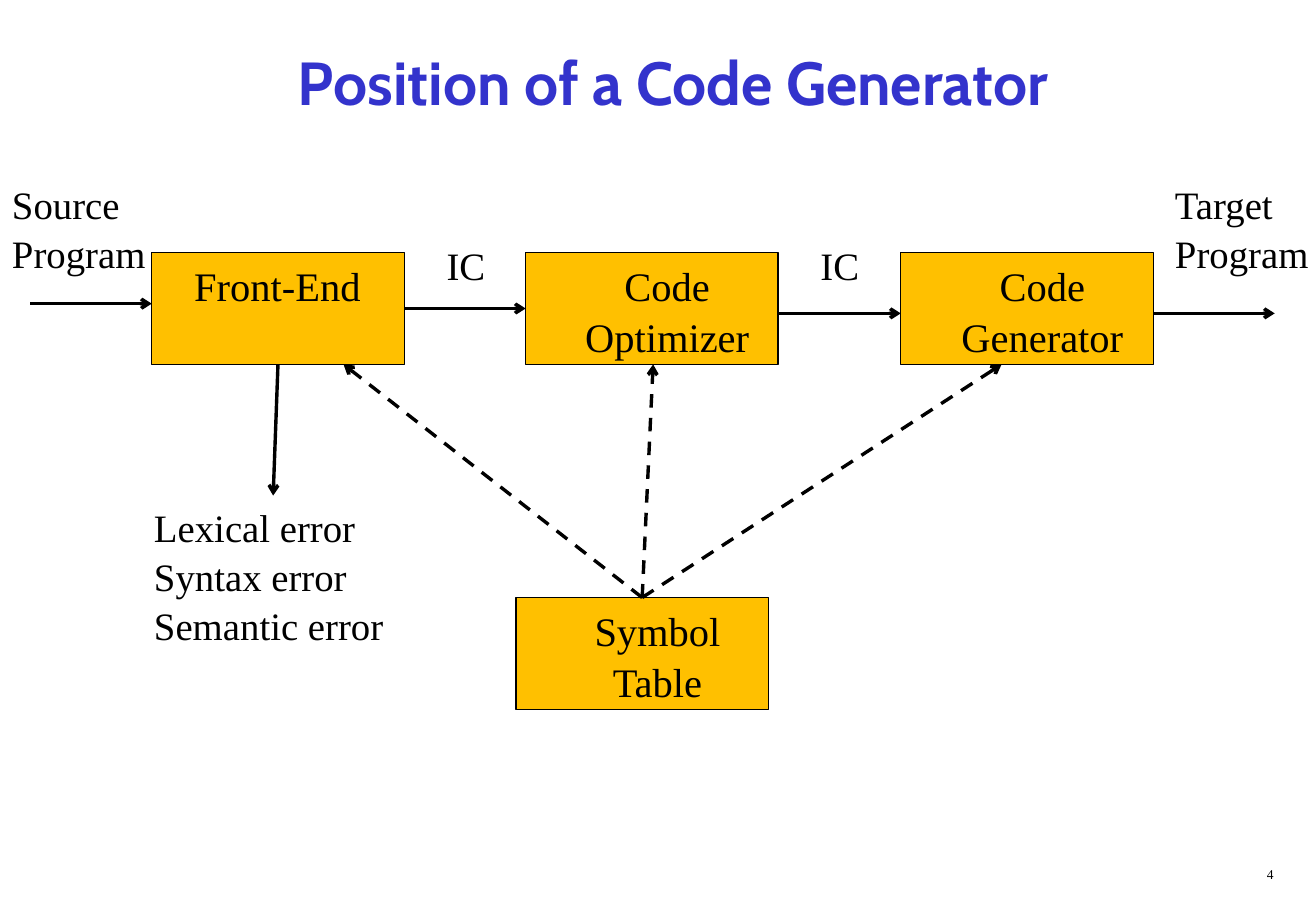
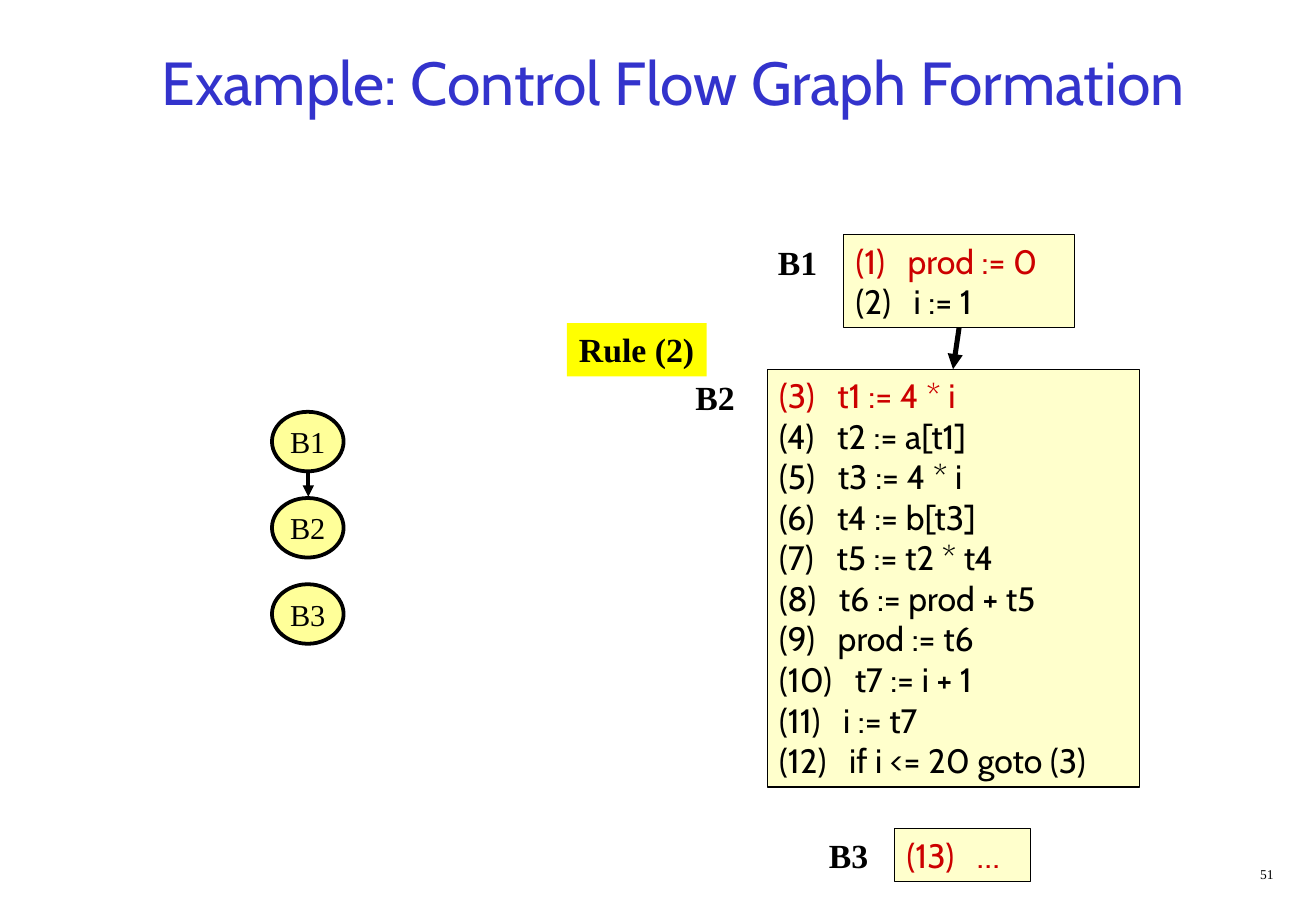
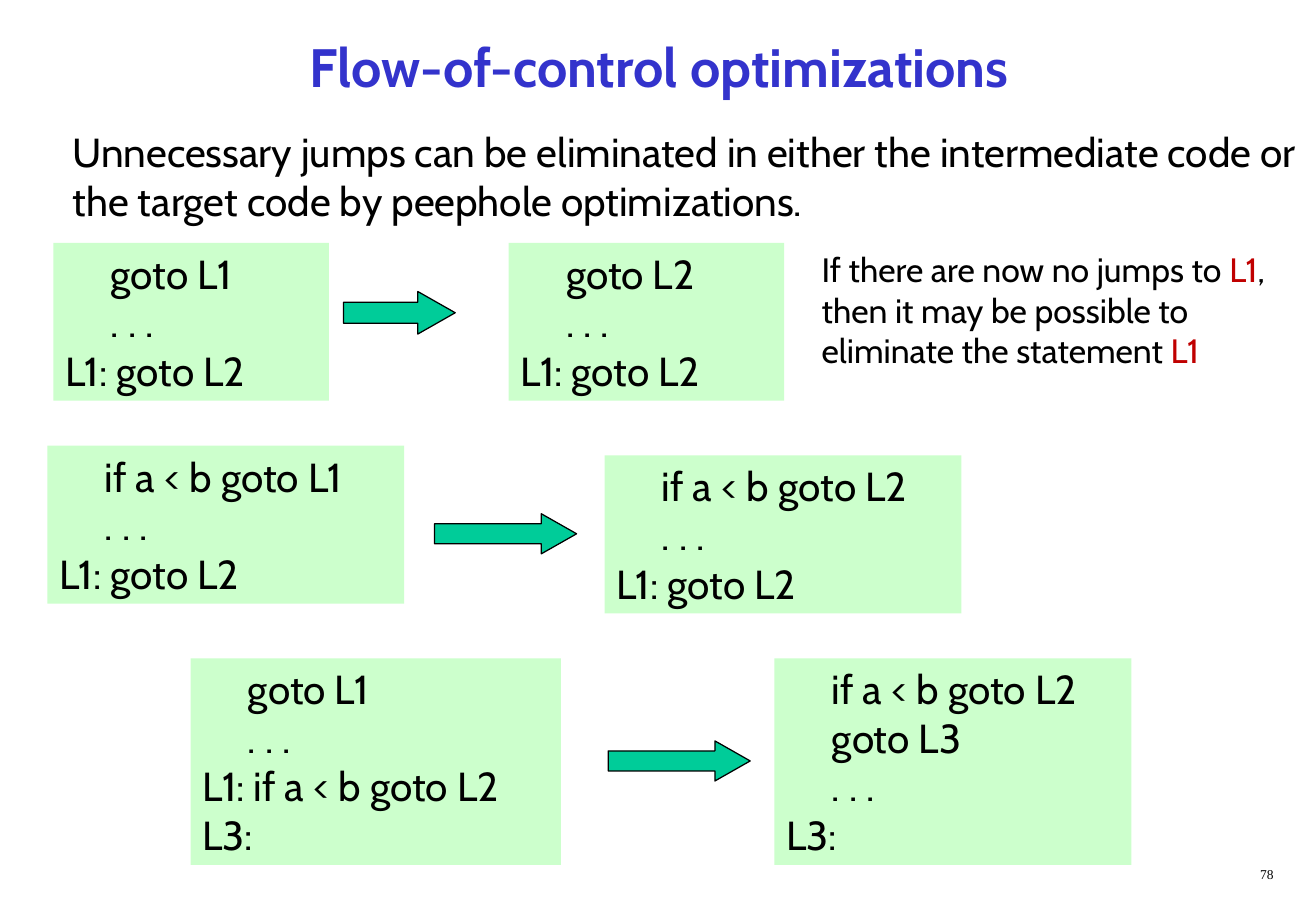
from dataclasses import dataclass, field
from typing import Any, NamedTuple

from lxml import etree
from pptx import Presentation
from pptx.dml.color import RGBColor
from pptx.enum.dml import MSO_LINE
from pptx.enum.shapes import MSO_CONNECTOR, MSO_SHAPE
from pptx.enum.text import MSO_ANCHOR, MSO_AUTO_SIZE, PP_ALIGN
from pptx.oxml.ns import qn
from pptx.util import Inches, Pt

LEFT, CENTER, RIGHT = PP_ALIGN.LEFT, PP_ALIGN.CENTER, PP_ALIGN.RIGHT
TOP, MIDDLE = MSO_ANCHOR.TOP, MSO_ANCHOR.MIDDLE
RECTANGLE, OVAL = MSO_SHAPE.RECTANGLE, MSO_SHAPE.OVAL
RIGHT_ARROW = MSO_SHAPE.RIGHT_ARROW
STRAIGHT, DASH = MSO_CONNECTOR.STRAIGHT, MSO_LINE.DASH
NO_AUTOFIT = MSO_AUTO_SIZE.NONE

BLACK = RGBColor(0x00, 0x00, 0x00)
TITLE_BLUE = RGBColor(0x33, 0x33, 0xCC)
STAGE_ORANGE = RGBColor(0xFF, 0xC0, 0x00)
BLOCK_CREAM = RGBColor(0xFF, 0xFF, 0xCC)
NODE_YELLOW = RGBColor(0xFF, 0xFF, 0x99)
RULE_YELLOW = RGBColor(0xFF, 0xFF, 0x00)
CODE_GREEN = RGBColor(0xCC, 0xFF, 0xCC)
ARROW_GREEN = RGBColor(0x00, 0xCC, 0x99)
LEADER_RED = RGBColor(0xCC, 0x00, 0x00)
LABEL_RED = RGBColor(0xC0, 0x00, 0x00)

SANS = "Cabin"
SERIF = "Times New Roman"
SERIF_SPACING = 1.05

STAGE_FONT = {"name": SERIF, "size": Pt(24)}
CAPTION_FONT = {"name": SERIF, "size": Pt(23)}
NODE_FONT = {"name": SERIF, "size": Pt(18)}
LABEL_FONT = {"name": SERIF, "size": Pt(20), "bold": True}
PAGE_FONT = {"name": SERIF, "size": Pt(8)}
BLOCK_FONT = {"name": SANS, "size": Pt(20)}
CODE_FONT = {"name": SANS, "size": Pt(24)}

MARGINS = {
    "margin_left": Inches(0.1),
    "margin_right": Inches(0.1),
    "margin_top": Inches(0.05),
    "margin_bottom": Inches(0.05),
}


class Place(NamedTuple):
    left: float
    top: float
    width: float
    height: float


class Span(NamedTuple):
    text: str
    color: RGBColor = BLACK


Line = str | tuple[Span, ...]


@dataclass
class Box:
    place: Place
    lines: tuple[Line, ...]
    font: dict[str, Any]
    fill: RGBColor | None = None
    outline: float = 0
    preset: Any = RECTANGLE
    align: Any = LEFT
    anchor: Any = TOP
    wrap: bool = True
    spacing: float = 1.0
    frame: dict[str, Any] = field(default_factory=dict)


class Arrow(NamedTuple):
    start: tuple[float, float]
    end: tuple[float, float]
    width: float = 2
    head: str = "arrow"
    dashed: bool = False


def apply_format(target: Any, values: dict[str, Any]) -> None:
    for name, value in values.items():
        setattr(target, name, value)


def lengths(place: Place) -> list[int]:
    return [Inches(value) for value in place]


def paint(shape: Any, fill: RGBColor, outline: float) -> None:
    shape.shadow.inherit = False
    shape.fill.solid()
    shape.fill.fore_color.rgb = fill
    if outline:
        shape.line.color.rgb = BLACK
        shape.line.width = Pt(outline)
    else:
        shape.line.fill.background()


def write_lines(frame: Any, box: Box) -> None:
    for index, line in enumerate(box.lines):
        para = frame.add_paragraph() if index else frame.paragraphs[0]
        apply_format(para, {"alignment": box.align, "line_spacing": box.spacing})
        for span in (Span(line),) if isinstance(line, str) else line:
            run = para.add_run()
            run.text = span.text
            apply_format(run.font, box.font)
            run.font.color.rgb = span.color


def draw_box(page: Any, box: Box) -> None:
    if box.fill is None:
        shape = page.shapes.add_textbox(*lengths(box.place))
    else:
        shape = page.shapes.add_shape(box.preset, *lengths(box.place))
        paint(shape, box.fill, box.outline)
    settings = {
        "word_wrap": box.wrap,
        "auto_size": NO_AUTOFIT,
        "vertical_anchor": box.anchor,
    }
    apply_format(shape.text_frame, MARGINS | settings | box.frame)
    write_lines(shape.text_frame, box)


def draw_arrow(page: Any, arrow: Arrow) -> None:
    ends = [Inches(value) for value in arrow.start + arrow.end]
    connector = page.shapes.add_connector(STRAIGHT, *ends)
    connector.line.color.rgb = BLACK
    connector.line.width = Pt(arrow.width)
    if arrow.dashed:
        connector.line.dash_style = DASH
    properties = connector._element.spPr
    outline = properties.find(qn("a:ln"))
    etree.SubElement(outline, qn("a:tailEnd")).set("type", arrow.head)
    etree.SubElement(properties, qn("a:effectLst"))


def draw_block_arrow(page: Any, place: Place) -> None:
    shape = page.shapes.add_shape(RIGHT_ARROW, *lengths(place))
    shape.adjustments[0] = 0.5
    shape.adjustments[1] = 0.88
    paint(shape, ARROW_GREEN, 0.75)


def add_page(
    deck: Any,
    title: str,
    number: int,
    place: Place = Place(0.42, 0.17, 10.25, 1),
    size: float = 36,
    bold: bool = True,
) -> Any:
    page = deck.slides.add_slide(deck.slide_layouts[5])
    heading = page.shapes.title
    names = ("left", "top", "width", "height")
    apply_format(heading, dict(zip(names, lengths(place))))
    frame = heading.text_frame
    apply_format(
        frame,
        {"word_wrap": True, "auto_size": NO_AUTOFIT, "vertical_anchor": MIDDLE},
    )
    frame.text = title
    para = frame.paragraphs[0]
    para.alignment = CENTER
    apply_format(para.font, {"name": SANS, "size": Pt(size), "bold": bold})
    para.font.color.rgb = TITLE_BLUE
    page_number = Box(
        Place(8.33, 7.08, 2.26, 0.25), (str(number),), PAGE_FONT, align=RIGHT
    )
    draw_box(page, page_number)
    return page


def build_position(deck: Any) -> None:
    page = add_page(deck, "Position of a Code Generator", 4)
    stages = (
        (1.25, 2.08, ("Front-End",), LEFT),
        (4.33, 2.08, ("Code", "Optimizer"), CENTER),
        (7.42, 2.08, ("Code", "Generator"), CENTER),
        (4.25, 4.92, ("Symbol", "Table"), CENTER),
    )
    for left, top, lines, align in stages:
        stage = Box(
            Place(left, top, 2.08, 0.92),
            lines,
            STAGE_FONT,
            STAGE_ORANGE,
            0.75,
            align=align,
            spacing=SERIF_SPACING,
            frame={"margin_left": Inches(0.35)},
        )
        draw_box(page, stage)
    captions = (
        (Place(0, 1.42, 1.58, 0.87), ("Source Program",)),
        (Place(3.58, 1.92, 0.75, 0.49), ("IC",)),
        (Place(6.66, 1.92, 0.75, 0.49), ("IC",)),
        (Place(9.58, 1.42, 1.58, 0.87), ("Target Program",)),
        (
            Place(1.17, 4.08, 2.25, 1.25),
            ("Lexical error", "Syntax error", "Semantic error"),
        ),
    )
    for place, lines in captions:
        draw_box(page, Box(place, lines, CAPTION_FONT, spacing=SERIF_SPACING))
    for left, height in ((0.25, 2.5), (3.33, 2.54), (6.42, 2.58), (9.5, 2.58)):
        draw_arrow(page, Arrow((left, height), (left + 1, height)))
    draw_arrow(page, Arrow((2.29, 3), (2.25, 4.08)))
    for target in (2.83, 5.38, 8.25):
        draw_arrow(page, Arrow((5.29, 4.92), (target, 3), dashed=True))


def build_flow_graph(deck: Any) -> None:
    page = add_page(deck, "Example: Control Flow Graph Formation", 51, bold=False)
    blocks = (
        (Place(6.95, 1.93, 1.9, 0.77), ("(1)   prod := 0", "(2)   i := 1")),
        (
            Place(6.32, 3.04, 3.07, 3.44),
            (
                "(3)   t1 := 4 * i",
                "(4)   t2 := a[t1]",
                "(5)   t3 := 4 * i",
                "(6)   t4 := b[t3]",
                "(7)   t5 := t2 * t4",
                "(8)   t6 := prod + t5",
                "(9)   prod := t6",
                "(10)   t7 := i + 1",
                "(11)   i := t7",
                "(12)   if i <= 20 goto (3)",
            ),
        ),
        (Place(7.37, 6.82, 1.12, 0.44), ("(13)   …",)),
    )
    for place, (leader, *others) in blocks:
        lines = ((Span(leader, LEADER_RED),), *others)
        draw_box(page, Box(place, lines, BLOCK_FONT, BLOCK_CREAM, 0.75))
    labels = ((6.31, 1.94), (5.63, 3.05), (6.73, 6.82))
    for index, (left, top) in enumerate(labels):
        name = f"B{index + 1}"
        label = Box(Place(left, top, 0.52, 0.44), (name,), LABEL_FONT, wrap=False)
        node = Box(
            Place(2.24, 3.39 + 0.71 * index, 0.59, 0.49),
            (name,),
            NODE_FONT,
            NODE_YELLOW,
            2.25,
            OVAL,
            CENTER,
            MIDDLE,
            wrap=False,
        )
        draw_box(page, label)
        draw_box(page, node)
    rule = Box(
        Place(4.67, 2.66, 1.15, 0.44), ("Rule (2)",), LABEL_FONT, RULE_YELLOW, wrap=False
    )
    draw_box(page, rule)
    draw_arrow(page, Arrow((7.9, 2.7), (7.85, 3.04), 3, "triangle"))
    draw_arrow(page, Arrow((2.54, 3.89), (2.54, 4.09), 2.25, "triangle"))


def build_optimizations(deck: Any) -> None:
    page = add_page(
        deck, "Flow-of-control optimizations", 78, Place(0.48, 0.25, 9.9, 0.58), 32
    )
    skip, jump = "     . . .", "L1: goto L2"
    listings = (
        (Place(0.44, 2, 2.27, 1.3), ("     goto L1", skip, jump)),
        (Place(4.19, 2, 2.27, 1.3), ("     goto L2", skip, jump)),
        (Place(0.39, 3.67, 2.94, 1.3), ("     if a < b goto L1", skip, jump)),
        (Place(4.98, 3.75, 2.94, 1.3), ("     if a < b goto L2", skip, jump)),
        (
            Place(1.57, 5.42, 3.05, 1.7),
            ("     goto L1", skip, "L1: if a < b goto L2", "L3:"),
        ),
        (
            Place(6.38, 5.42, 2.94, 1.7),
            ("     if a < b goto L2", "     goto L3", skip, "L3:"),
        ),
    )
    for place, lines in listings:
        draw_box(page, Box(place, lines, CODE_FONT, CODE_GREEN))
    for place in (
        Place(2.83, 2.4, 0.92, 0.35),
        Place(3.58, 4.23, 1.17, 0.33),
        Place(5.01, 6.1, 1.17, 0.33),
    ):
        draw_block_arrow(page, place)
    summary = (
        "Unnecessary jumps can be eliminated in either the intermediate code "
        "or the target code by peephole optimizations."
    )
    draw_box(page, Box(Place(0.5, 1, 10.33, 1.3), (summary,), CODE_FONT))
    remark = (
        Span("If there are now no jumps to "),
        Span("L1", LABEL_RED),
        Span(", then it may be possible to eliminate the statement "),
        Span("L1", LABEL_RED),
    )
    draw_box(page, Box(Place(6.67, 2, 4.17, 1.1), (remark,), BLOCK_FONT))


def main() -> None:
    deck = Presentation()
    deck.slide_width = Inches(10.84)
    deck.slide_height = Inches(7.5)
    build_position(deck)
    build_flow_graph(deck)
    build_optimizations(deck)
    deck.save("out.pptx")


if __name__ == "__main__":
    main()
